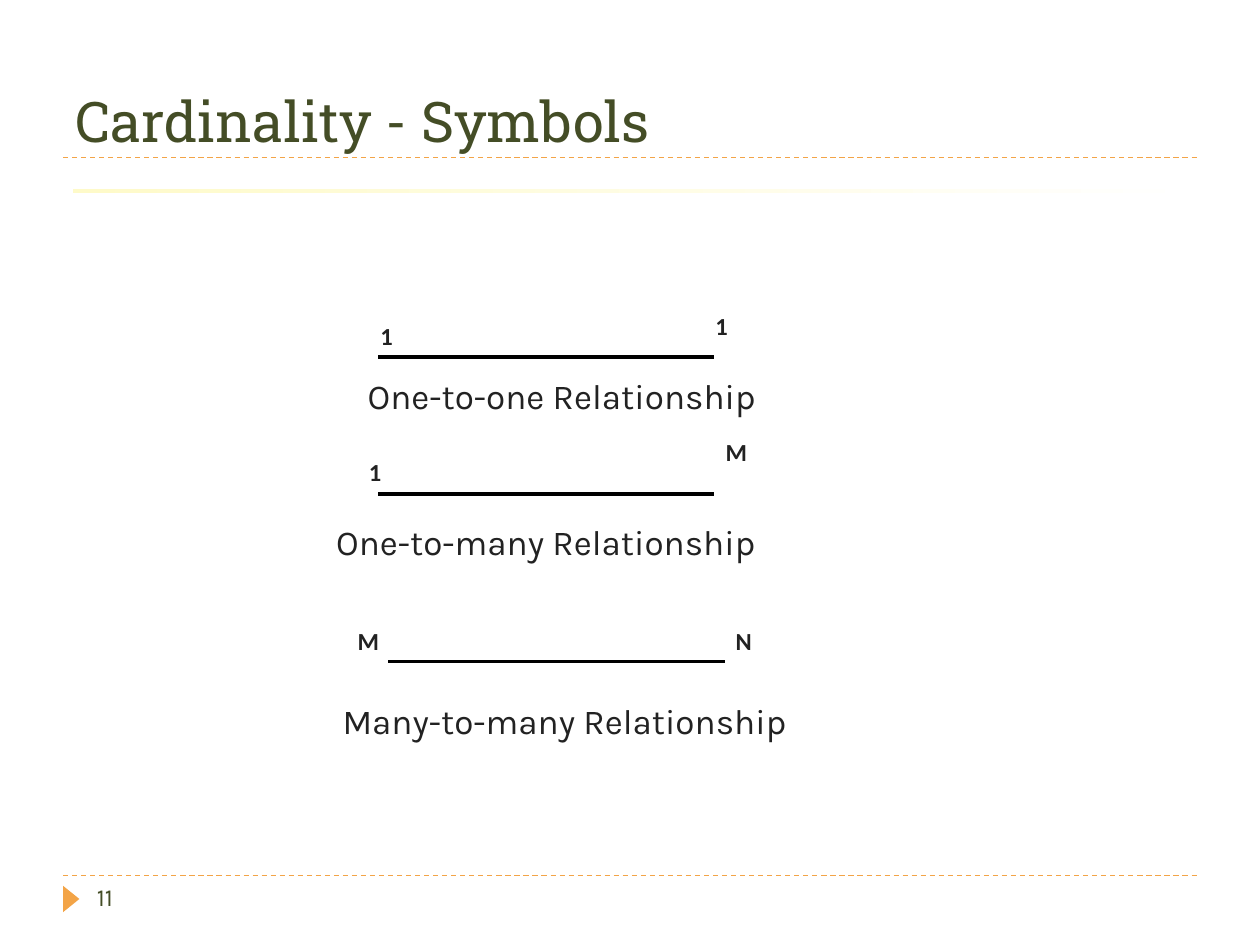
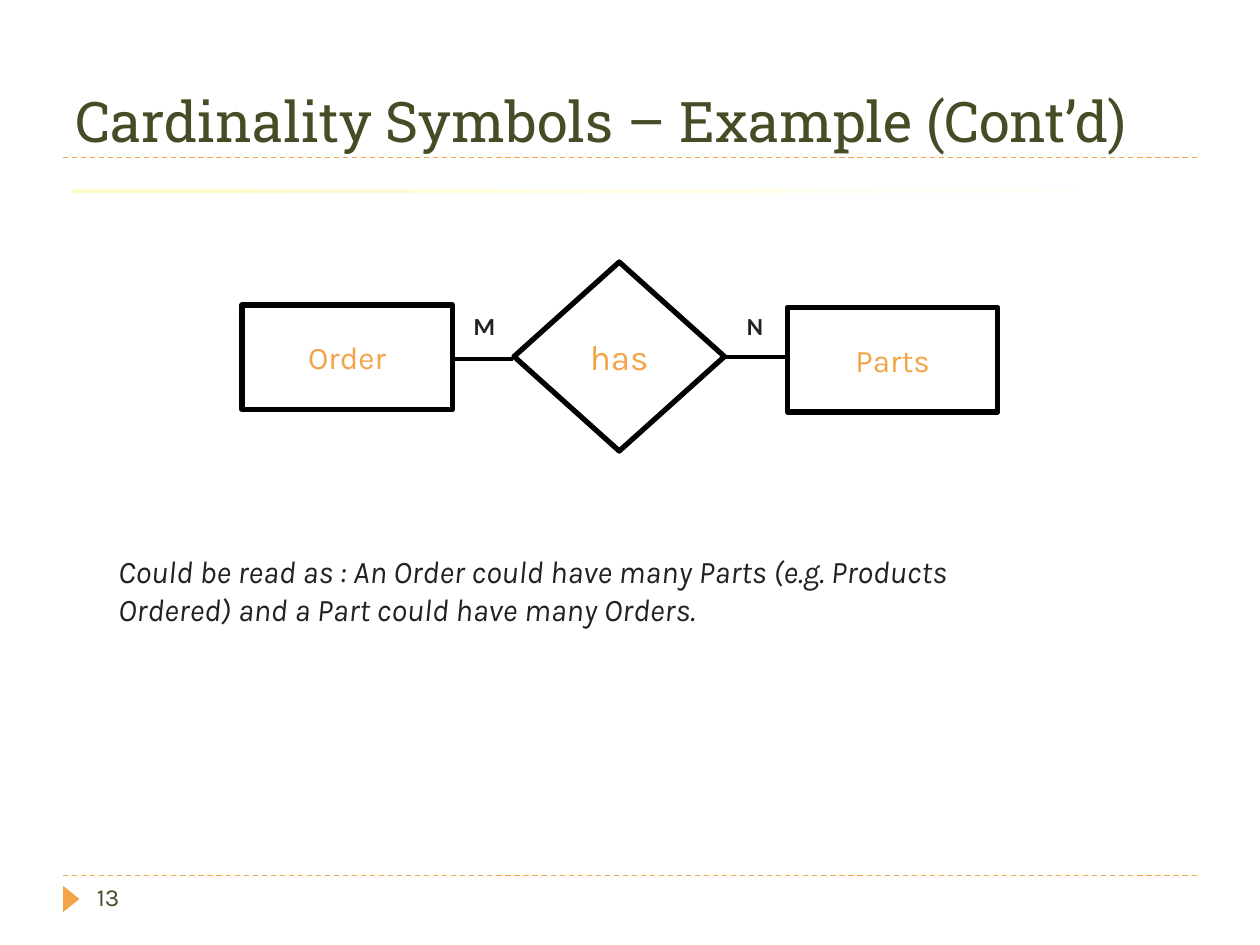
from lxml import etree
from pptx import Presentation
from pptx.dml.color import RGBColor
from pptx.enum import dml, shapes, text
from pptx.oxml import ns
from pptx.util import Inches, Pt

COLORS = {
    "title": "444D26",
    "body": "222222",
    "accent": "F3A447",
    "ink": "000000",
    "band": "FEFAC9",
    "page": "FFFFFF",
}
HEADING, BODY, LABEL = "Roboto Slab", "Karla", "Calibri"


def rgb(name):
    return RGBColor.from_string(COLORS[name])


class Deck:
    """Holds the presentation, its style and the slide being built."""

    def __init__(self):
        self.prs = Presentation()
        self.prs.slide_width, self.prs.slide_height = Inches(10), Inches(7.5)
        self.s = None

    def slide(self, title, number):
        self.s = self.prs.slides.add_slide(self.prs.slide_layouts[5])
        for y in (6.95, 1.25):
            self.line(0.5, y, 9.5, y, "accent", 0.75, dashed=True)
        self.page_marker()
        self.title_band()
        self.title(title)
        self.text(number, 0.67, 6.95, 2.17, 0.4, size=14, color="title", wrap=True)

    def set_text(self, tf, content, size, font=BODY, color="body", bold=False,
                 italic=False, align=text.PP_ALIGN.LEFT):
        tf.text = content
        for p in tf.paragraphs:
            p.alignment = align
            for r in p.runs:
                r.font.size, r.font.name = Pt(size), font
                r.font.bold, r.font.italic = bold, italic
                r.font.color.rgb = rgb(color)

    def title(self, content):
        sp = self.s.shapes.title
        sp.left, sp.top = Inches(0.5), Inches(0.17)
        sp.width, sp.height = Inches(9), Inches(1.08)
        tf = sp.text_frame
        tf.vertical_anchor = text.MSO_ANCHOR.BOTTOM
        tf.auto_size = text.MSO_AUTO_SIZE.NONE
        tf.margin_bottom = Inches(0.03)
        self.set_text(tf, content, 32, HEADING, "title")

    def text(self, content, x, y, w, h, size=20, wrap=False, **style):
        sp = self.s.shapes.add_textbox(Inches(x), Inches(y), Inches(w), Inches(h))
        sp.text_frame.word_wrap = wrap
        self.set_text(sp.text_frame, content, size, **style)

    def cardinality(self, symbol, x, y):
        width = {"1": 0.31, "M": 0.38, "N": 0.36}[symbol]
        self.text(symbol, x, y, width, 0.34, size=14, font=LABEL, bold=True)

    def line(self, x1, y1, x2, y2, color="ink", width=2.25, dashed=False):
        c = self.s.shapes.add_connector(
            shapes.MSO_CONNECTOR.STRAIGHT,
            Inches(x1), Inches(y1), Inches(x2), Inches(y2))
        c.line.color.rgb = rgb(color)
        c.line.width = Pt(width)
        if dashed:
            c.line.dash_style = dml.MSO_LINE.DASH
        etree.SubElement(c.element.spPr, ns.qn("a:effectLst"))

    def shape(self, kind, x, y, w, h):
        sp = self.s.shapes.add_shape(kind, Inches(x), Inches(y), Inches(w), Inches(h))
        sp.shadow.inherit = False
        return sp

    def page_marker(self):
        sp = self.shape(shapes.MSO_SHAPE.ISOSCELES_TRIANGLE, 0.46, 7.07, 0.21, 0.13)
        sp.rotation = 90
        sp.fill.solid()
        sp.fill.fore_color.rgb = rgb("accent")
        sp.line.fill.background()

    def title_band(self):
        sp = self.shape(shapes.MSO_SHAPE.RECTANGLE, 0.58, 1.5, 9, 0.03)
        sp.fill.gradient()
        sp.fill.gradient_angle = 0
        for stop, color in zip(sp.fill.gradient_stops, ("band", "page")):
            stop.color.rgb = rgb(color)
        sp.line.fill.background()

    def node(self, kind, label, x, y, h, size):
        """Outlined entity or relationship with a centred label."""
        sp = self.shape(kind, x, y, 1.67, h)
        sp.fill.background()
        sp.line.color.rgb = rgb("ink")
        sp.line.width = Pt(3)
        tf = sp.text_frame
        tf.word_wrap = False
        tf.vertical_anchor = text.MSO_ANCHOR.MIDDLE
        self.set_text(tf, label, size, color="accent", align=text.PP_ALIGN.CENTER)


def symbols_slide(deck):
    deck.slide("Cardinality - Symbols", "11")
    # line start, name with its box, then each end's symbol with its corner
    relationships = [
        ((3, 2.83), ("One-to-one Relationship", 2.82, 2.92, 3.38),
         ("1", 2.92, 2.5), ("1", 5.58, 2.42)),
        ((3, 3.92), ("One-to-many Relationship", 2.57, 4.08, 3.61),
         ("1", 2.83, 3.58), ("M", 5.66, 3.42)),
        ((3.08, 5.25), ("Many-to-many Relationship", 2.62, 5.5, 3.79),
         ("M", 2.74, 4.92), ("N", 5.74, 4.92)),
    ]
    for (x, y), name, *ends in relationships:
        deck.line(x, y, x + 2.67, y)
        deck.text(*name, 0.44)
        for end in ends:
            deck.cardinality(*end)


def example_slide(deck):
    deck.slide("Cardinality Symbols – Example (Cont’d)", "13")
    deck.node(shapes.MSO_SHAPE.DIAMOND, "has", 4.08, 2.08, 1.5, 20)
    for entity, x, y in (("Parts", 6.25, 2.44), ("Order", 1.92, 2.42)):
        deck.node(shapes.MSO_SHAPE.RECTANGLE, entity, x, y, 0.83, 18)
    for x, y in ((3.57, 2.85), (5.75, 2.83)):
        deck.line(x, y, x + 0.5, y)
    deck.text("Could be read as : An Order could have many Parts (e.g. Products\n"
              "Ordered) and a Part could have many Orders.",
              0.84, 4.33, 7.43, 0.7, size=18, italic=True)
    deck.cardinality("M", 3.66, 2.42)
    deck.cardinality("N", 5.83, 2.42)


def main():
    deck = Deck()
    symbols_slide(deck)
    example_slide(deck)
    deck.prs.save("out.pptx")


if __name__ == "__main__":
    main()
